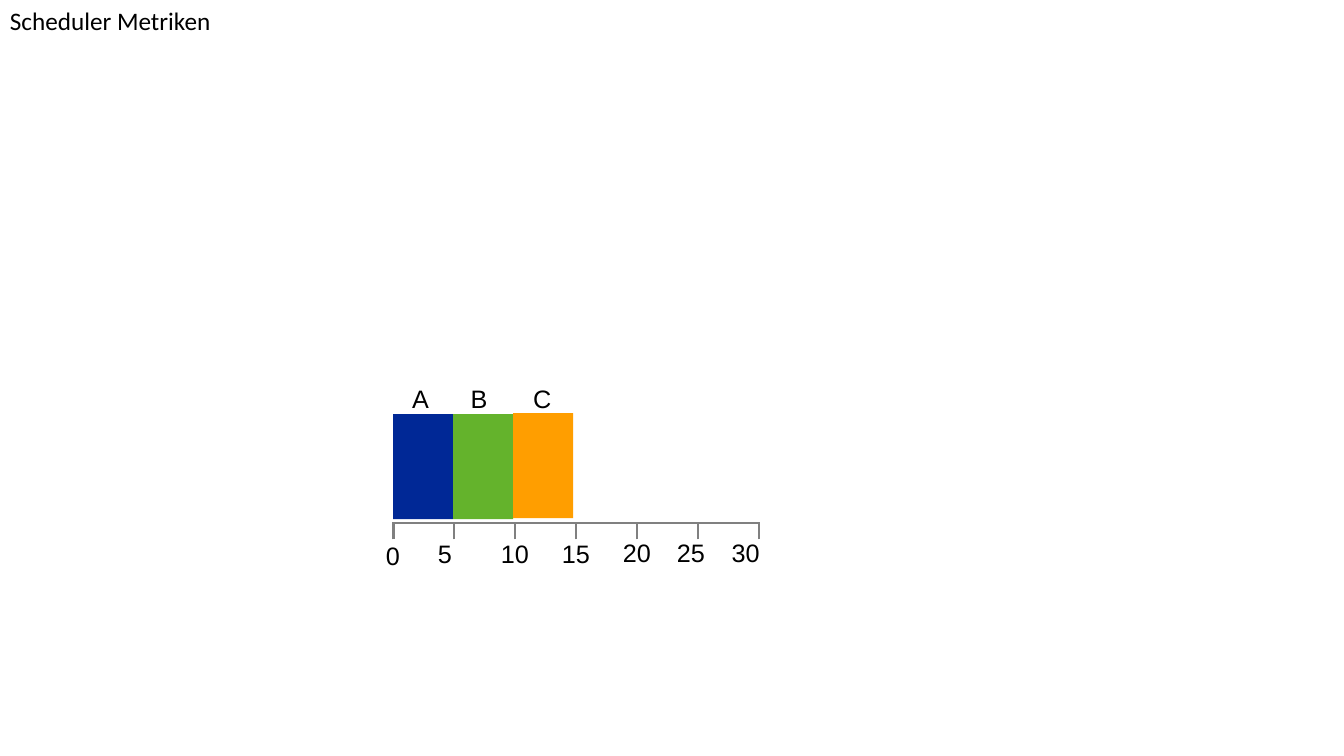
"""Build the scheduler metrics slide: three jobs drawn over a time axis."""
from lxml.etree import SubElement
from pptx import Presentation
from pptx.dml.color import RGBColor
from pptx.enum.shapes import MSO_CONNECTOR, MSO_SHAPE
from pptx.enum.text import MSO_AUTO_SIZE
from pptx.oxml.ns import qn
from pptx.util import Pt

TITLE = "Scheduler Metriken"
# job, fill, bar top, label left
JOBS = [
    ("A", "002896", 295.9, 287.3),
    ("B", "64B32C", 295.9, 329),
    ("C", "FF9E00", 295.2, 373.7),
]
# time, label shift from its tick, label top
TICKS = [
    (0, 0, 382.3),
    (5, -6.5, 380.9),
    (10, 0, 380.9),
    (15, 0, 380.9),
    (20, 0, 380.2),
    (25, -5, 380.2),
    (30, -9.4, 380.2),
]
THEME = {
    "title_font": "Calibri", "font": "Arial", "size": 18,
    "text": "000000", "axis": "808080", "axis_width": 1.5, "tick_width": 2,
}
AXIS_LEFT, AXIS_Y, TICK_STEP = 280.8, 373.7, 43.56
TICK_TOP, TICK_BOTTOM = 373, 385.2
BAR_STEP, BAR_WIDTH, BAR_HEIGHT = 42.9, 42.8, 74.9
LABEL_HEIGHT, JOB_TOP = 29.1, 270
CHAR_WIDTH, DIGIT_WIDTH = 24.4, 34.4


def add_text(shapes, text, left, top, width, font, wrap=False):
    tb = shapes.add_textbox(Pt(left), Pt(top), Pt(width), Pt(LABEL_HEIGHT))
    tf = tb.text_frame
    for name, value in {"word_wrap": wrap, "auto_size": MSO_AUTO_SIZE.SHAPE_TO_FIT_TEXT}.items():
        setattr(tf, name, value)
    r = tf.paragraphs[0].add_run()
    r.text = text
    for name, value in {"name": font, "size": Pt(THEME["size"])}.items():
        setattr(r.font, name, value)
    r.font.color.rgb = RGBColor.from_string(THEME["text"])


def add_line(shapes, x1, y1, x2, y2, width):
    ln = shapes.add_connector(MSO_CONNECTOR.STRAIGHT, Pt(x1), Pt(y1), Pt(x2), Pt(y2))
    ln.line.color.rgb = RGBColor.from_string(THEME["axis"])
    ln.line.width = Pt(width)
    SubElement(ln._element.spPr, qn("a:effectLst"))


def add_bar(shapes, left, top, fill):
    sp = shapes.add_shape(MSO_SHAPE.RECTANGLE, Pt(left), Pt(top), Pt(BAR_WIDTH), Pt(BAR_HEIGHT))
    sp.shadow.inherit = False
    sp.fill.solid()
    sp.fill.fore_color.rgb = RGBColor.from_string(fill)
    sp.line.fill.background()


def main():
    prs = Presentation()
    prs.slide_width, prs.slide_height = Pt(960), Pt(540)
    s = prs.slides.add_slide(prs.slide_layouts[6])
    add_text(s.shapes, TITLE, 0, 0, 159.8, THEME["title_font"])

    chart = s.shapes.add_group_shape().shapes
    axis_right = AXIS_LEFT + TICK_STEP * (len(TICKS) - 1)
    add_line(chart, AXIS_LEFT - 0.7, AXIS_Y, axis_right, AXIS_Y, THEME["axis_width"])
    for i, (time, shift, top) in enumerate(TICKS):
        x = AXIS_LEFT + i * TICK_STEP
        add_line(chart, x, TICK_BOTTOM, x, TICK_TOP, THEME["tick_width"])
        width = CHAR_WIDTH if time < 10 else DIGIT_WIDTH
        add_text(chart, str(time), x + shift - width / 2, top, width, THEME["font"])
    for i, (job, fill, top, label_left) in enumerate(JOBS):
        add_bar(chart, AXIS_LEFT + i * BAR_STEP, top, fill)
        add_text(chart, job, label_left, JOB_TOP, CHAR_WIDTH, THEME["font"], wrap=True)
    prs.save("out.pptx")


if __name__ == "__main__":
    main()
